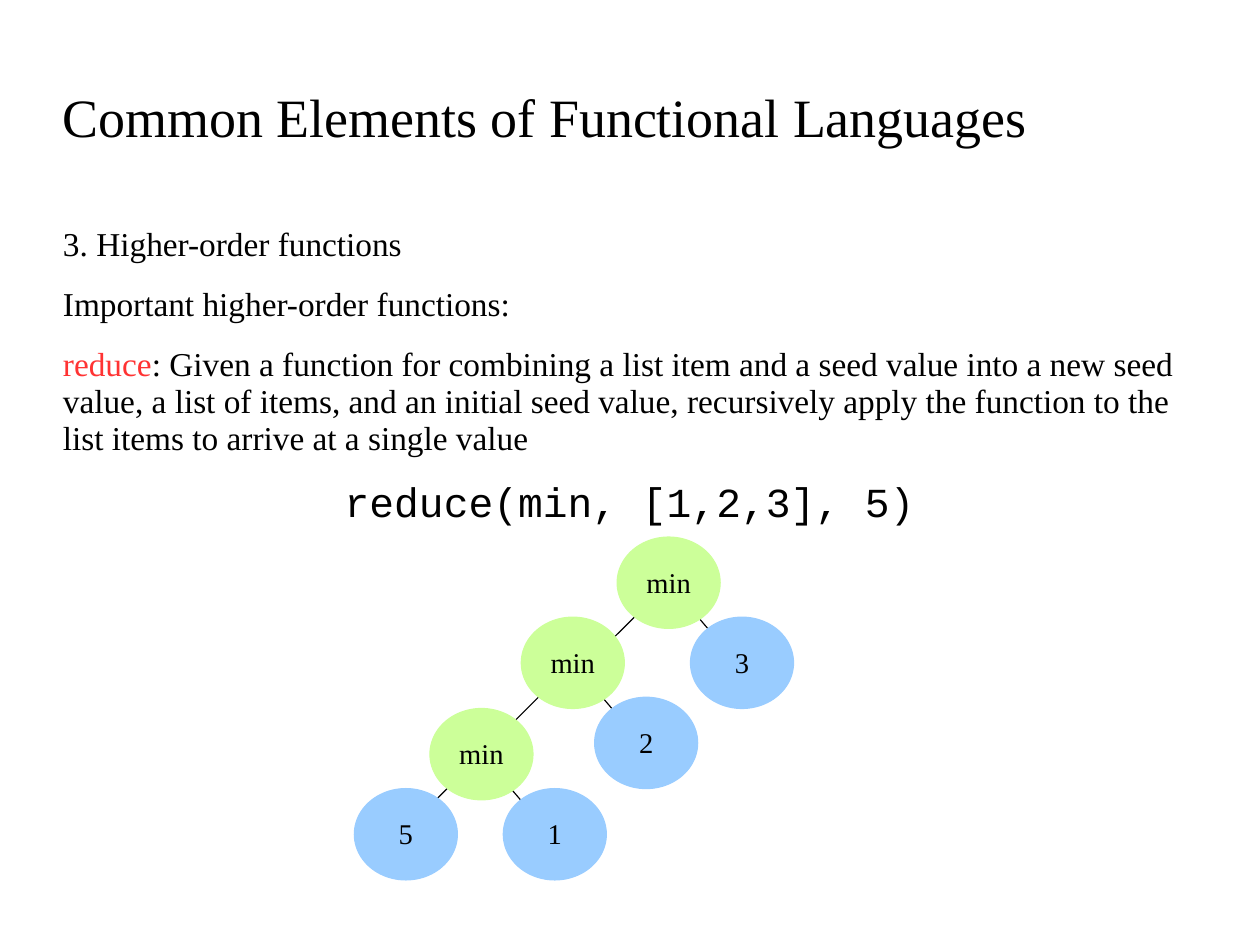
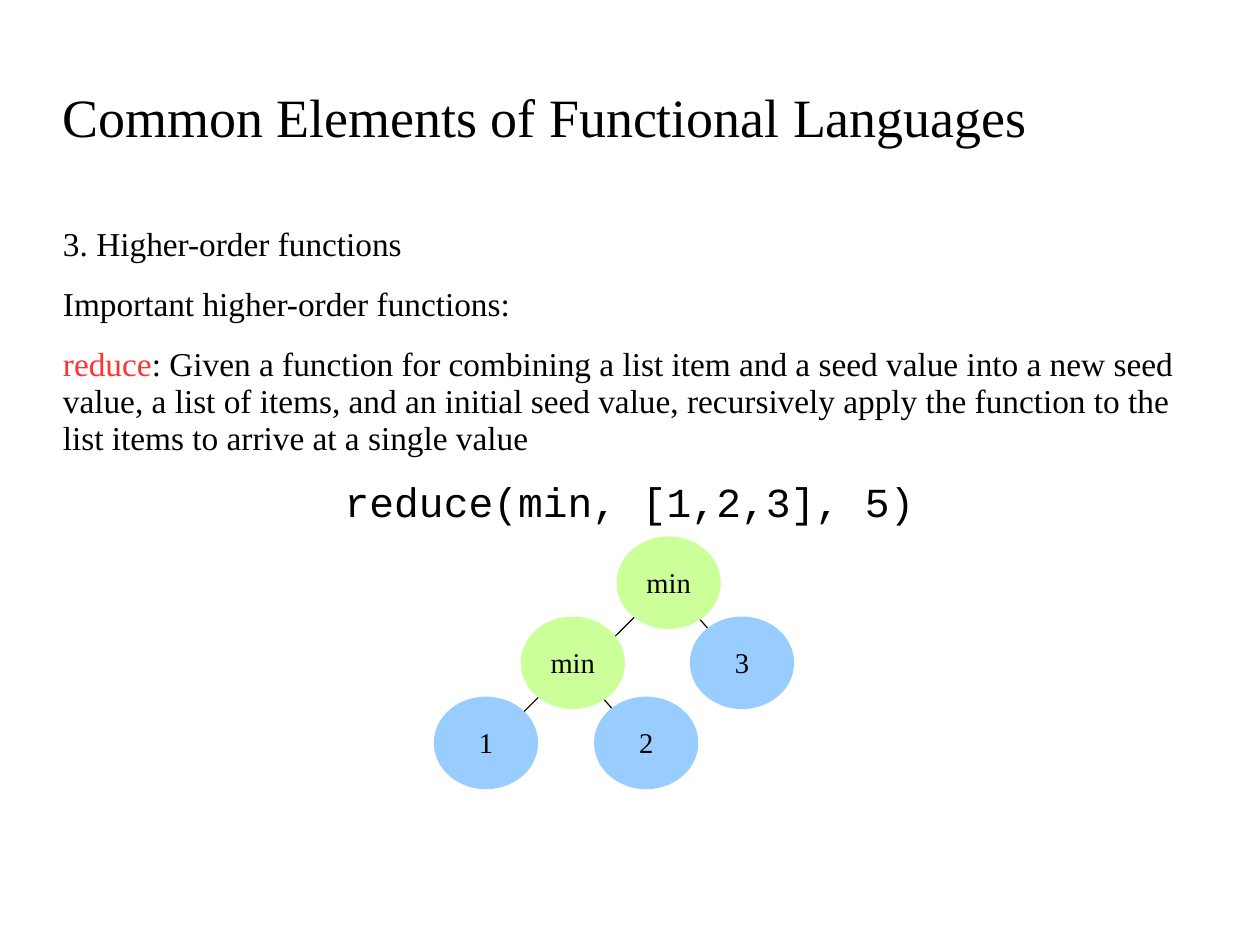
from dataclasses import dataclass

from lxml import etree
from pptx import Presentation
from pptx.dml.color import RGBColor
from pptx.enum.shapes import MSO_CONNECTOR, MSO_SHAPE
from pptx.enum.text import MSO_ANCHOR, MSO_AUTO_SIZE, PP_ALIGN
from pptx.oxml.ns import qn
from pptx.util import Cm, Pt

STRAIGHT = MSO_CONNECTOR.STRAIGHT
ELLIPSE = MSO_SHAPE.OVAL
MIDDLE, TOP = MSO_ANCHOR.MIDDLE, MSO_ANCHOR.TOP
LEFT, CENTER = PP_ALIGN.LEFT, PP_ALIGN.CENTER
NO_AUTOFIT = MSO_AUTO_SIZE.NONE


@dataclass(frozen=True)
class Theme:
    ink: RGBColor = RGBColor(0x00, 0x00, 0x00)
    keyword: RGBColor = RGBColor(0xFF, 0x33, 0x33)
    value: RGBColor = RGBColor(0x99, 0xCC, 0xFF)
    function: RGBColor = RGBColor(0xCC, 0xFF, 0x99)
    serif: str = "Times New Roman"
    mono: str = "Courier New"
    title_size: Pt = Pt(34)
    body_size: Pt = Pt(21)
    code_size: Pt = Pt(26)
    node_size: Pt = Pt(18)
    line_width: Pt = Pt(0.75)
    paragraph_gap: Pt = Pt(14.1)
    spacing: float = 0.93


THEME = Theme()

TITLE = "Common Elements of Functional Languages"
KEYWORD = "reduce"
EXPLANATION = [
    ["3. Higher-order functions"],
    ["Important higher-order functions:"],
    [KEYWORD, ": Given a function for combining a list item and a seed value "
     "into a new seed value, a list of items, and an initial seed value, "
     "recursively apply the function to the list items to arrive at a single value"],
]
CODE = "reduce(min, [1,2,3], 5)"

# Each call: list item on its right, offset in cm to its left operand.
REDUCTIONS = [
    {"calls": [("3", (-2.13, 1.78)), ("2", (-2.03, 2.03)), ("1", (-1.68, 1.78))],
     "seed": "5"},
    {"calls": [("3", (-2.13, 1.78)), ("2", (-1.93, 1.78))],
     "seed": "1"},
]

TITLE_BOX = (1.4, 1.6, 24.26, 2.01)
BODY_BOX = (1.4, 5.0, 25.2, 14.81)
ROOT = (14.86, 12.95)
NODE_WIDTH, NODE_HEIGHT = 2.29, 2.03
ITEM_OFFSET = (1.63, 1.78)
BRANCHES = [(-1.78, 1.78), (1.52, 1.78)]


def shift(point, offset):
    return point[0] + offset[0], point[1] + offset[1]


def style_run(run, size, font=THEME.serif, color=THEME.ink):
    run.font.size = size
    run.font.name = font
    run.font.color.rgb = color


def style_paragraph(paragraph, align, gap=Pt(0)):
    paragraph.alignment = align
    paragraph.line_spacing = THEME.spacing
    paragraph.space_before = Pt(0)
    paragraph.space_after = gap


def set_frame(frame, anchor, insets, wrap=True):
    frame.auto_size = NO_AUTOFIT
    frame.word_wrap = wrap
    frame.vertical_anchor = anchor
    (frame.margin_left, frame.margin_top,
     frame.margin_right, frame.margin_bottom) = map(Cm, insets)


def add_title(slide):
    title = slide.shapes.title
    title.left, title.top, title.width, title.height = map(Cm, TITLE_BOX)
    frame = title.text_frame
    frame.text = TITLE
    set_frame(frame, MIDDLE, (0, 0.08, 0, 0))
    style_paragraph(frame.paragraphs[0], LEFT)
    style_run(frame.paragraphs[0].runs[0], THEME.title_size)


def add_body(slide):
    frame = slide.shapes.add_textbox(*map(Cm, BODY_BOX)).text_frame
    set_frame(frame, TOP, (0, 0.05, 0, 0))
    for index, parts in enumerate(EXPLANATION + [[CODE]]):
        paragraph = frame.add_paragraph() if index else frame.paragraphs[0]
        is_code = parts == [CODE]
        style_paragraph(paragraph, CENTER if is_code else LEFT, THEME.paragraph_gap)
        for part in parts:
            run = paragraph.add_run()
            run.text = part
            if is_code:
                style_run(run, THEME.code_size, THEME.mono)
            else:
                style_run(run, THEME.body_size,
                          color=THEME.keyword if part == KEYWORD else THEME.ink)


def add_branch(slide, start, end):
    branch = slide.shapes.add_connector(STRAIGHT, *map(Cm, start + end))
    branch.line.color.rgb = THEME.ink
    branch.line.width = THEME.line_width
    etree.SubElement(branch.line._get_or_add_ln().getparent(), qn("a:effectLst"))


def add_node(slide, center, label, color):
    corner = shift(center, (-NODE_WIDTH / 2, -NODE_HEIGHT / 2))
    node = slide.shapes.add_shape(ELLIPSE, *map(Cm, corner + (NODE_WIDTH, NODE_HEIGHT)))
    node.shadow.inherit = False
    node.fill.solid()
    node.fill.fore_color.rgb = color
    node.line.color.rgb = color
    node.line.width = THEME.line_width
    frame = node.text_frame
    frame.text = label
    set_frame(frame, MIDDLE, (0.25, 0.18, 0.25, 0.13), wrap=False)
    style_paragraph(frame.paragraphs[0], CENTER)
    style_run(frame.paragraphs[0].runs[0], THEME.node_size)


def add_tree(slide, calls, seed):
    center, nodes = ROOT, []
    for item, left_offset in calls:
        for branch in BRANCHES:
            add_branch(slide, center, shift(center, branch))
        nodes.append((center, "min", THEME.function))
        nodes.append((shift(center, ITEM_OFFSET), item, THEME.value))
        center = shift(center, left_offset)
    nodes.append((center, seed, THEME.value))
    for node in nodes:
        add_node(slide, *node)


def main():
    deck = Presentation()
    deck.slide_width, deck.slide_height = Cm(28), Cm(21)
    title_only = deck.slide_layouts[5]
    for reduction in REDUCTIONS:
        slide = deck.slides.add_slide(title_only)
        add_title(slide)
        add_body(slide)
        add_tree(slide, **reduction)
    deck.save("out.pptx")


if __name__ == "__main__":
    main()
